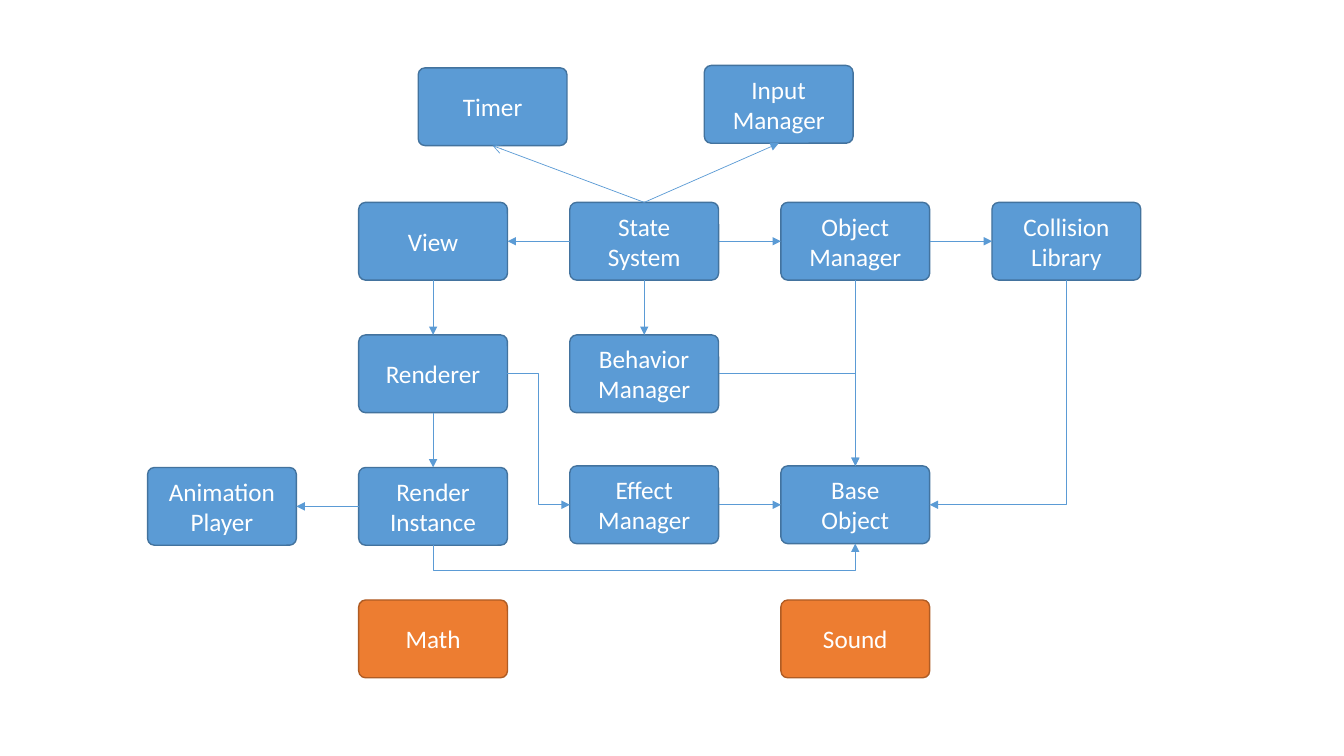
from dataclasses import dataclass

from lxml.etree import SubElement
from pptx import Presentation
from pptx.dml.color import RGBColor
from pptx.enum.shapes import MSO_CONNECTOR as Link, MSO_SHAPE as Preset
from pptx.enum.text import MSO_ANCHOR as Anchor, PP_ALIGN as Align
from pptx.oxml.ns import qn
from pptx.util import Cm, Pt

# Component: (column, row, kind)
COMPONENTS = {
    "Timer": (1, 0, "module"),
    "Input Manager": (3, 0, "module"),
    "View": (1, 1, "module"),
    "State System": (2, 1, "module"),
    "Object Manager": (3, 1, "module"),
    "Collision Library": (4, 1, "module"),
    "Renderer": (1, 2, "module"),
    "Behavior Manager": (2, 2, "module"),
    "Animation Player": (0, 3, "module"),
    "Render Instance": (1, 3, "module"),
    "Effect Manager": (2, 3, "module"),
    "Base\nObject": (3, 3, "module"),
    "Math": (1, 4, "utility"),
    "Sound": (3, 4, "utility"),
}

# Shifts off the grid, in cm
NUDGES = {
    "Timer": (1.5, -0.05),
    "Input Manager": (-1.93, -0.11),
    "Effect Manager": (0, -0.04),
    "Base\nObject": (0, -0.04),
}

# (from, side, to, side, arrowhead)
STRAIGHT_LINKS = [
    ("State System", "top", "Input Manager", "bottom", "triangle"),
    ("State System", "top", "Timer", "bottom", "arrow"),
    ("State System", "left", "View", "right", "triangle"),
    ("State System", "right", "Object Manager", "left", "triangle"),
    ("State System", "bottom", "Behavior Manager", "top", "triangle"),
    ("Object Manager", "right", "Collision Library", "left", "triangle"),
    ("Object Manager", "bottom", "Base\nObject", "top", "triangle"),
    ("View", "bottom", "Renderer", "top", "triangle"),
    ("Renderer", "bottom", "Render Instance", "top", "triangle"),
    ("Render Instance", "left", "Animation Player", "right", "triangle"),
    ("Effect Manager", "right", "Base\nObject", "left", "triangle"),
]

# (from, side, to, side, distance to the first bend in cm; None for one corner)
BENT_LINKS = [
    ("Collision Library", "bottom", "Base\nObject", "right", None),
    ("Behavior Manager", "right", "Base\nObject", "top", None),
    ("Renderer", "right", "Effect Manager", "left", 0.78),
    ("Render Instance", "bottom", "Base\nObject", "bottom", 0.64),
]

SITES = {"top": 0, "left": 1, "bottom": 2, "right": 3}
GRID_LEFT, GRID_TOP = 3.72, 1.76
COLUMN_STEP, ROW_STEP = 5.32, 3.34
BOX_WIDTH, BOX_HEIGHT = 3.75, 1.96


@dataclass(frozen=True)
class Theme:
    """Colours, font and sizes of the diagram."""
    module: tuple = ("5B9BD5", "43739E")
    utility: tuple = ("ED7D31", "AF5C24")
    text: str = "FFFFFF"
    link: str = "5B9BD5"
    font: str = "Calibri"
    size: float = 18
    outline: float = 1
    link_width: float = 0.5
    corner: float = 0.089


THEME = Theme()


def color(code):
    """Turn a hex code into a colour."""
    return RGBColor.from_string(code)


def add_box(page, label, column, row, kind):
    """Draw one component at its grid place."""
    shift_x, shift_y = NUDGES.get(label, (0, 0))
    box = page.shapes.add_shape(
        Preset.ROUNDED_RECTANGLE,
        Cm(GRID_LEFT + column * COLUMN_STEP + shift_x),
        Cm(GRID_TOP + row * ROW_STEP + shift_y),
        Cm(BOX_WIDTH), Cm(BOX_HEIGHT))
    fill, outline = getattr(THEME, kind)
    box.adjustments[0] = THEME.corner
    box.shadow.inherit = False
    box.fill.solid()
    box.fill.fore_color.rgb = color(fill)
    box.line.color.rgb = color(outline)
    box.line.width = Pt(THEME.outline)
    frame = box.text_frame
    frame.word_wrap = True
    frame.vertical_anchor = Anchor.MIDDLE
    for index, line in enumerate(label.split("\n")):
        para = frame.add_paragraph() if index else frame.paragraphs[0]
        para.alignment = Align.CENTER
        span = para.add_run()
        span.text = line
        span.font.name = THEME.font
        span.font.size = Pt(THEME.size)
        span.font.color.rgb = color(THEME.text)
    return box


def add_link(page, boxes, kind, source, source_side, target, target_side, head="triangle"):
    """Join two components with an arrow glued to their sides."""
    link = page.shapes.add_connector(kind, 0, 0, 0, 0)
    link.begin_connect(boxes[source], SITES[source_side])
    link.end_connect(boxes[target], SITES[target_side])
    link.line.color.rgb = color(THEME.link)
    link.line.width = Pt(THEME.link_width)
    SubElement(link.line._get_or_add_ln(), qn("a:tailEnd"), type=head)
    SubElement(link._element.spPr, qn("a:effectLst"))
    return link


def bend(link, downward, distance):
    """Give an elbow link its corners, leaving downward or to the right."""
    run_x, run_y = link.end_x - link.begin_x, link.end_y - link.begin_y
    center_x, center_y = link.begin_x + run_x / 2, link.begin_y + run_y / 2
    # A quarter turn maps the local axes to down and left.
    along, across = (run_y, -run_x) if downward else (run_x, run_y)
    link.width, link.height = abs(along), abs(across)
    link.left = round(center_x - link.width / 2)
    link.top = round(center_y - link.height / 2)
    frame = link._element.spPr.xfrm
    frame.rot = 90 if downward else 0
    frame.flipH, frame.flipV = along < 0, across < 0
    geometry = link._element.spPr.find(qn("a:prstGeom"))
    if distance is None:
        geometry.set("prst", "bentConnector2")
    else:
        ratio = round(Cm(distance) / along * 100000)
        guides = geometry.find(qn("a:avLst"))
        SubElement(guides, qn("a:gd"), name="adj1", fmla=f"val {ratio}")


def build():
    """Build the component diagram and save it."""
    deck = Presentation()
    deck.slide_width, deck.slide_height = Cm(33.87), Cm(19.05)
    page = deck.slides.add_slide(deck.slide_layouts[6])
    boxes = {label: add_box(page, label, *place) for label, place in COMPONENTS.items()}
    for link_ends in STRAIGHT_LINKS:
        add_link(page, boxes, Link.STRAIGHT, *link_ends)
    for *link_ends, distance in BENT_LINKS:
        link = add_link(page, boxes, Link.ELBOW, *link_ends)
        bend(link, link_ends[1] == "bottom", distance)
    deck.save("out.pptx")


build()
